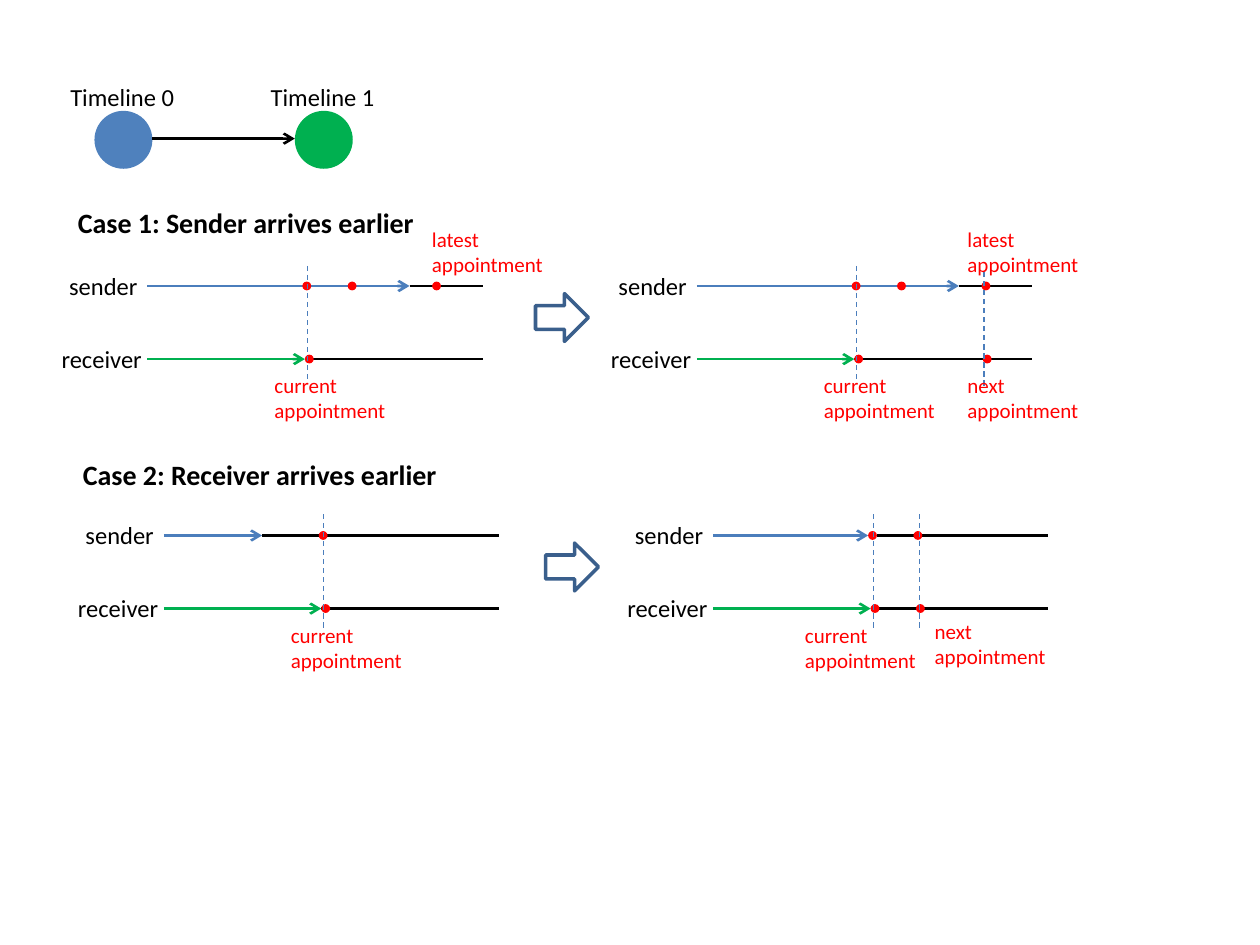
"""Build the slide on sender and receiver timelines and their appointments."""
from lxml import etree
from pptx import Presentation
from pptx.dml.color import RGBColor
from pptx.enum import dml, shapes, text
from pptx.oxml import ns
from pptx.util import Inches, Pt

BLACK = RGBColor(0, 0, 0)
RED = RGBColor(255, 0, 0)
GREEN = RGBColor(0, 0xB0, 0x50)
BLUE = RGBColor(0x4F, 0x81, 0xBD)
EDGE = RGBColor(0x4B, 0x7E, 0xBC)
NAVY = RGBColor(0x3A, 0x5F, 0x8C)

GAP, DOT, NODE = 0.58, 0.07, 0.46
END, TURN, DASH = 2.66, 1.25, 0.92

TITLES = [("Case 1: Sender arrives earlier", 0.52, 1.58, 2.9),
          ("Case 2: Receiver arrives earlier", 0.56, 3.58, 3.04)]
NODES = [("Timeline 0", 0.75, BLUE), ("Timeline 1", 2.34, GREEN)]
BLOCKS = [(4.25, 2.33), (4.33, 4.31)]
ROWS = [("sender", 0.72, 0.75, EDGE), ("receiver", 0.78, 0.85, GREEN)]
NOW = ("current ", 0.91, 0.64)
PANELS = [
    dict(at=(1.17, 2.27), tip=2.08, rest=2.08,
         dots=[(1.23, 1.59, 2.26), (1.25,)], cuts=[(1.27, -0.16)],
         notes=[NOW, ("latest", 2.16, -0.52)]),
    dict(at=(5.53, 2.27), tip=2.08, rest=2.08,
         dots=[(1.23, 1.59, 2.26), (1.25, 2.27)],
         cuts=[(1.27, -0.16), (2.28, -0.11)],
         notes=[NOW, ("latest", 2.05, -0.52), ("next", 2.05, 0.64)]),
    dict(at=(1.3, 4.25), tip=0.78, rest=0.78,
         dots=[(1.23,), (1.25,)], cuts=[(1.27, -0.17)], notes=[NOW]),
    dict(at=(5.66, 4.25), tip=1.23, rest=1.3,
         dots=[(1.23, 1.59), (1.25, 1.61)],
         cuts=[(1.27, -0.17), (1.64, -0.17)],
         notes=[("current ", 0.63, 0.64), ("next", 1.66, 0.61)]),
]

deck = Presentation()
deck.slide_width, deck.slide_height = Inches(10), Inches(7.5)
slide = deck.slides.add_slide(deck.slide_layouts[6])


def label(words, x, y, w, h=0.34, size=14, color=BLACK, bold=False):
    box = slide.shapes.add_textbox(*map(Inches, (x, y, w, h)))
    frame = box.text_frame
    frame.text = words
    frame.word_wrap = False
    frame.auto_size = text.MSO_AUTO_SIZE.SHAPE_TO_FIT_TEXT
    for para in frame.paragraphs:
        font = para.runs[0].font
        font.name, font.size, font.bold = "Calibri", Pt(size), bold
        font.color.rgb = color


def line(x1, y1, x2, y2, color=BLACK, width=1.5, arrow=False, dash=False):
    link = slide.shapes.add_connector(
        shapes.MSO_CONNECTOR.STRAIGHT, *map(Inches, (x1, y1, x2, y2)))
    link.line.color.rgb, link.line.width = color, Pt(width)
    if dash:
        link.line.dash_style = dml.MSO_LINE.DASH
    if arrow:
        stroke = link.line._get_or_add_ln()
        etree.SubElement(stroke, ns.qn("a:tailEnd"), type="arrow")
    etree.SubElement(link._element.spPr, ns.qn("a:effectLst"))


def form(kind, x, y, w, h, color=None):
    item = slide.shapes.add_shape(kind, *map(Inches, (x, y, w, h)))
    item.shadow.inherit = False
    if color is None:
        item.fill.background()
        item.line.color.rgb, item.line.width = NAVY, Pt(2)
    else:
        item.fill.solid()
        item.fill.fore_color.rgb = color
        item.line.fill.background()


def panel(at, tip, rest, dots, cuts, notes):
    x, top = at
    spans = [(tip, rest), (TURN, TURN)]
    for i, (name, left, wide, color) in enumerate(ROWS):
        y = top + i * GAP
        stop, start = spans[i]
        line(x, y, x + stop, y, color, arrow=True)
        line(x + start, y, x + END, y)
        label(name, x - left, y - 0.17, wide)
        for dx in dots[i]:
            form(shapes.MSO_SHAPE.OVAL, x + dx, y - DOT / 2, DOT, DOT, RED)
    for dx, dy in cuts:
        line(x + dx, top + dy, x + dx, top + dy + DASH, EDGE, 0.75, dash=True)
    for word, dx, dy in notes:
        label(word + "\nappointment", x + dx, top + dy, 1.09, 0.5, 12, RED)


for name, x, color in NODES:
    form(shapes.MSO_SHAPE.OVAL, x, 0.88, NODE, NODE, color)
    label(name, x - 0.29, 0.6, 1.03)
line(NODES[0][1] + NODE, 1.1, NODES[1][1], 1.1, arrow=True)
for words, x, y, w in TITLES:
    label(words, x, y, w, 0.37, 16, bold=True)
for part in PANELS:
    panel(**part)
for x, y in BLOCKS:
    form(shapes.MSO_SHAPE.RIGHT_ARROW, x, y, 0.42, 0.38)

deck.save("out.pptx")
